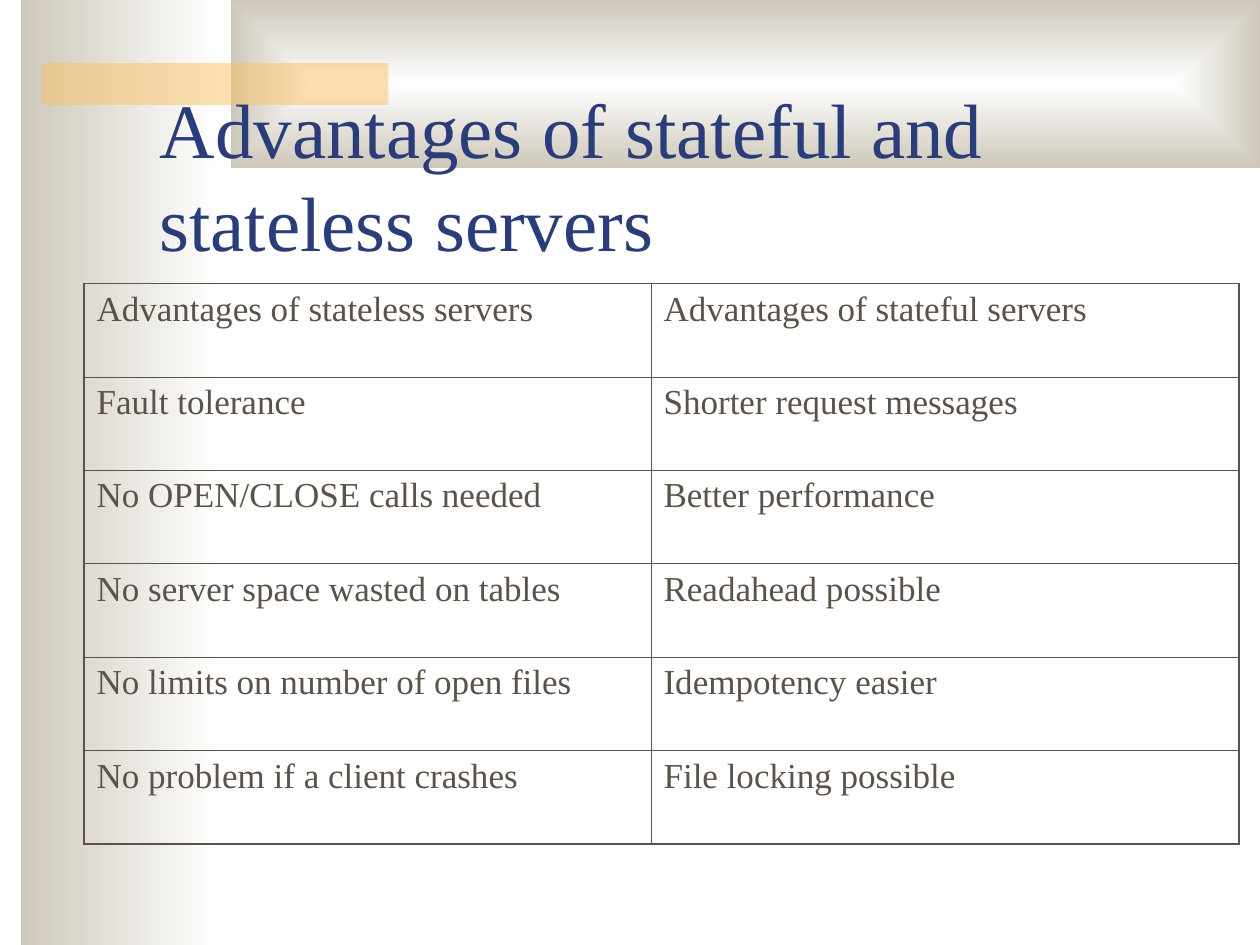
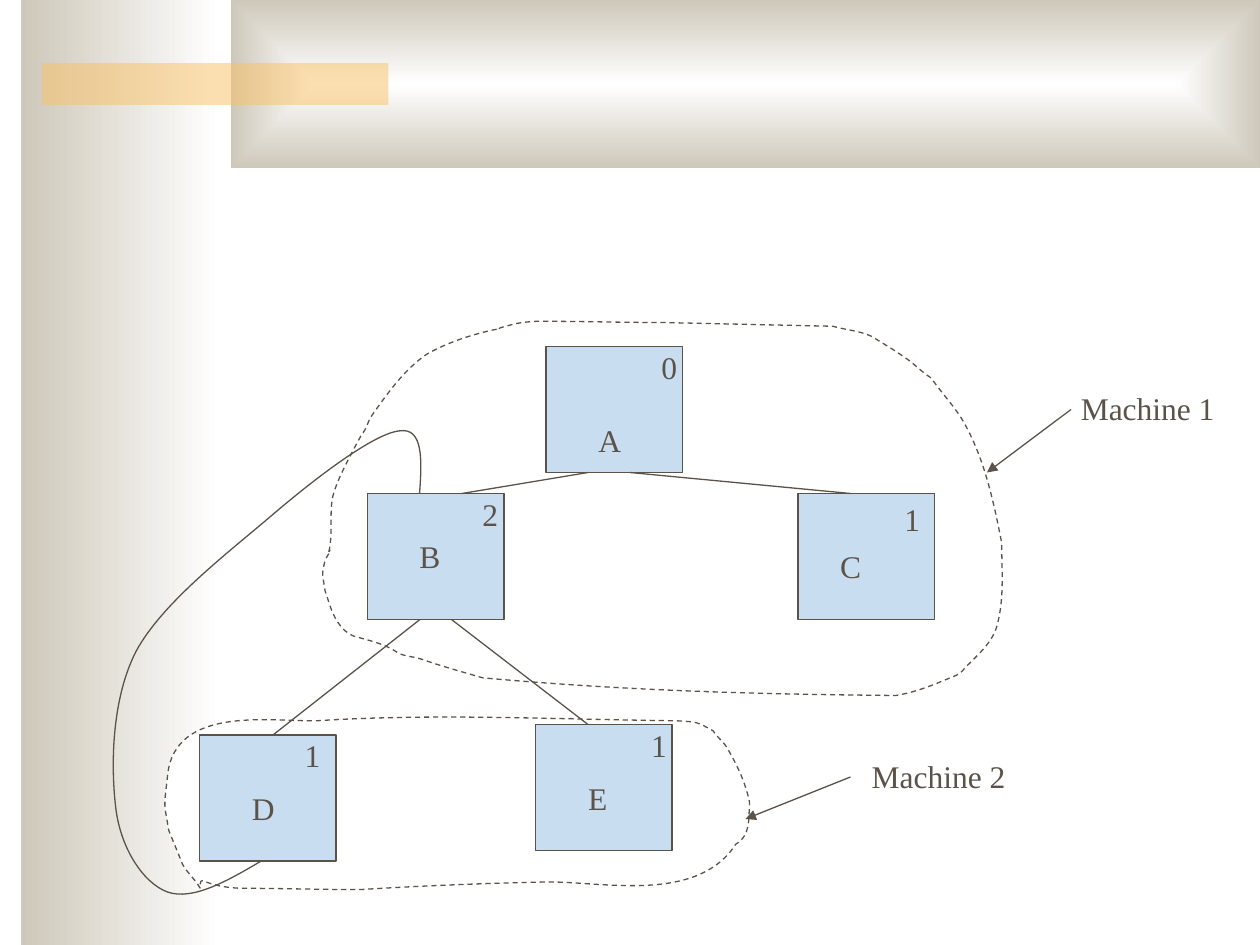
from lxml import etree
from pptx import Presentation
from pptx.dml.color import RGBColor
from pptx.enum import dml, shapes, text
from pptx.oxml import ns
from pptx.util import Inches, Pt

FONT = "Times New Roman"
BEIGE = RGBColor(0xCE, 0xC8, 0xBA)
WHITE = RGBColor(0xFF, 0xFF, 0xFF)
ORANGE = RGBColor(0xFA, 0xC1, 0x64)
NAVY = RGBColor(0x2A, 0x3D, 0x7A)
BROWN = RGBColor(0x5B, 0x52, 0x49)
BLUE = RGBColor(0xC9, 0xDD, 0xF1)

GRID = 12  # grid steps to the inch
NODE_SIZE = 13, 12  # in grid steps

ADVANTAGES = [
    ("Advantages of stateless servers", "Advantages of stateful servers"),
    ("Fault tolerance", "Shorter request messages"),
    ("No OPEN/CLOSE calls needed", "Better performance"),
    ("No server space wasted on tables", "Readahead possible"),
    ("No limits on number of open files", "Idempotency easier"),
    ("No problem if a client crashes", "File locking possible"),
]

# Each outline is a start point and its cubic curves (two controls, one end).
MACHINE_2 = (1.59, 7.05), [
    (1.55, 6.98, 1.49, 6.93, 1.45, 6.86), (1.41, 6.76, 1.38, 6.69, 1.34, 6.59),
    (1.3, 6.35, 1.3, 6.43, 1.33, 6.16), (1.38, 5.59, 2.16, 5.73, 2.52, 5.72),
    (3.46, 5.66, 4.41, 5.71, 5.36, 5.72), (5.55, 5.73, 5.53, 5.73, 5.66, 5.8),
    (5.69, 5.85, 5.75, 5.89, 5.78, 5.95), (5.86, 6.09, 5.92, 6.22, 5.95, 6.37),
    (5.94, 6.5, 5.96, 6.63, 5.84, 6.7), (5.53, 7.18, 4.76, 6.99, 4.33, 7),
    (3.84, 7.01, 3.35, 7.03, 2.86, 7.06), (2.55, 7.06, 2.23, 7.05, 1.92, 7.05),
    (1.59, 7.04, 1.59, 6.92, 1.59, 7.05),
]
MACHINE_1 = (2.61, 4.38), [
    (2.65, 4.21, 2.6, 4.03, 2.66, 3.88), (2.7, 3.76, 2.81, 3.56, 2.87, 3.45),
    (2.91, 3.41, 2.92, 3.34, 2.95, 3.3), (3.07, 3.13, 3.21, 2.93, 3.39, 2.81),
    (3.55, 2.72, 3.73, 2.66, 3.91, 2.62), (4.06, 2.59, 3.86, 2.63, 4.05, 2.58),
    (4.11, 2.56, 4.23, 2.55, 4.28, 2.55), (4.6, 2.55, 4.93, 2.56, 5.25, 2.56),
    (5.7, 2.57, 6.61, 2.59, 6.61, 2.59), (6.71, 2.62, 6.87, 2.63, 6.95, 2.69),
    (7.03, 2.74, 7.1, 2.78, 7.17, 2.83), (7.25, 2.88, 7.31, 2.95, 7.39, 3),
    (7.48, 3.13, 7.6, 3.25, 7.67, 3.39), (7.82, 3.67, 7.89, 4, 7.95, 4.31),
    (7.95, 4.52, 7.97, 4.73, 7.92, 4.94), (7.89, 5.08, 7.79, 5.17, 7.69, 5.27),
    (7.65, 5.3, 7.64, 5.34, 7.59, 5.36), (7.42, 5.43, 7.29, 5.49, 7.11, 5.52),
    (5.95, 5.51, 4.95, 5.48, 3.83, 5.38), (3.66, 5.33, 3.51, 5.29, 3.34, 5.23),
    (3.28, 5.21, 3.19, 5.21, 3.14, 5.17), (3.05, 5.11, 2.92, 5.08, 2.81, 5.05),
    (2.7, 5.01, 2.64, 4.88, 2.61, 4.78), (2.6, 4.75, 2.58, 4.69, 2.58, 4.69),
    (2.56, 4.55, 2.55, 4.57, 2.58, 4.45), (2.58, 4.44, 2.65, 4.33, 2.61, 4.38),
]
LOOP_D_TO_B = (2.08, 6.83), [
    (1.81, 6.99, 1.53, 7.15, 1.33, 7.08), (1.14, 7.01, 0.96, 6.74, 0.92, 6.42),
    (0.88, 6.1, 0.88, 5.56, 1.08, 5.17), (1.29, 4.78, 1.82, 4.38, 2.17, 4.08),
    (2.51, 3.79, 2.97, 3.44, 3.17, 3.42), (3.36, 3.39, 3.35, 3.65, 3.33, 3.92),
]

# Corner in grid steps; then letter and reference count, each with its place
NODES = [
    ((52, 33), ("A", 4.65, 3.29, 0.38), ("0", 5.15, 2.71, 0.32)),
    ((76, 47), ("C", 6.57, 4.29, 0.36), ("1", 7.08, 3.92, 0.32)),
    ((35, 47), ("B", 3.23, 4.21, 0.36), ("2", 3.73, 3.88, 0.32)),
    ((51, 69), ("E", 4.57, 6.13, 0.35), ("1", 5.07, 5.71, 0.32)),
    ((19, 70), ("D", 1.9, 6.21, 0.38), ("1", 2.32, 5.79, 0.32)),
]
# Ends in grid steps
LINKS = [
    ((56, 45), (44, 47)),
    ((60, 45), (81, 47)),
    ((40, 59), (26, 70)),
    ((43, 59), (56, 69)),
]
POINTERS = [((102, 39), (94, 45)), ((81, 74), (71, 78))]
MACHINE_LABELS = [("Machine 1", 8.48, 3.04, 1.26), ("Machine 2", 6.82, 5.96, 1.26)]


def on_grid(*steps):
    return [Inches(n / GRID) for n in steps]


def style_font(p, size, color):
    p.font.name = FONT
    p.font.size = Pt(size)
    p.font.color.rgb = color


def add_rect(s, *box):
    """Add a plain rectangle; the box is in grid steps."""
    sp = s.shapes.add_shape(shapes.MSO_SHAPE.RECTANGLE, *on_grid(*box))
    sp.shadow.inherit = False
    sp.line.fill.background()
    return sp


def shade(sp):
    sp.fill.gradient()
    sp.fill.gradient_angle = 180
    for stop, color in zip(sp.fill.gradient_stops, (WHITE, BEIGE)):
        stop.color.rgb = color


def add_master_bands(prs, s):
    """Draw the bands on a slide, then move them behind everything on the master."""
    side = add_rect(s, 2, 0, 19, 90)
    shade(side)

    top = add_rect(s, 22, 0, 98, 16)
    shade(top)
    lin = top._element.find(".//" + ns.qn("a:lin"))
    path = etree.Element(ns.qn("a:path"), path="rect")
    etree.SubElement(path, ns.qn("a:fillToRect"),
                     {edge: "50000" for edge in "ltrb"})
    lin.getparent().replace(lin, path)

    accent = add_rect(s, 4, 6, 33, 4)
    accent.fill.solid()
    accent.fill.fore_color.rgb = ORANGE
    color = accent._element.spPr.find(".//" + ns.qn("a:srgbClr"))
    etree.SubElement(color, ns.qn("a:alpha"), val="50000")

    tree = prs.slide_master.shapes._spTree
    for i, band in enumerate((side, top, accent)):
        tree.insert(2 + i, band._element)


def set_title(s, words, *box):
    title = s.shapes.title
    title.left, title.top, title.width, title.height = on_grid(*box)
    tf = title.text_frame
    tf.text = words
    tf.auto_size = text.MSO_AUTO_SIZE.NONE
    tf.vertical_anchor = text.MSO_ANCHOR.BOTTOM
    p = tf.paragraphs[0]
    p.alignment = text.PP_ALIGN.LEFT
    style_font(p, 44, NAVY)


def set_borders(cell, widths):
    """Set the left, right, top and bottom border widths, in points."""
    tcPr = cell._tc.get_or_add_tcPr()
    for i, (side, width) in enumerate(zip("LRTB", widths)):
        ln = etree.Element(ns.qn("a:ln" + side), w=str(Pt(width)))
        fill = etree.SubElement(ln, ns.qn("a:solidFill"))
        etree.SubElement(fill, ns.qn("a:srgbClr"), val=str(BROWN))
        tcPr.insert(i, ln)


def add_advantages_table(s, x, y, col_widths, height):
    """Add the table; the places and column widths are in grid steps."""
    n_rows, n_cols = len(ADVANTAGES), len(col_widths)
    table = s.shapes.add_table(
        n_rows, n_cols, *on_grid(x, y, sum(col_widths)), Inches(height)).table
    table.first_row = table.horz_banding = False
    for column, width in zip(table.columns, on_grid(*col_widths)):
        column.width = width
    for r, row in enumerate(ADVANTAGES):
        for c, words in enumerate(row):
            cell = table.cell(r, c)
            cell.text = words
            style_font(cell.text_frame.paragraphs[0], 20, BROWN)
            cell.fill.background()
            outer = (c == 0, c == n_cols - 1, r == 0, r == n_rows - 1)
            set_borders(cell, [1.08 if edge else 0.45 for edge in outer])


def style_line(line):
    line.color.rgb = BROWN
    line.width = Pt(0.75)


def add_label(s, words, x, y, w):
    tf = s.shapes.add_textbox(Inches(x), Inches(y), Inches(w), Inches(0.4)).text_frame
    tf.word_wrap = False
    tf.auto_size = text.MSO_AUTO_SIZE.SHAPE_TO_FIT_TEXT
    tf.text = words
    style_font(tf.paragraphs[0], 18, BROWN)


def add_link(s, start, end, arrow=False):
    link = s.shapes.add_connector(shapes.MSO_CONNECTOR.STRAIGHT, *on_grid(*start, *end))
    style_line(link.line)
    if arrow:
        etree.SubElement(link.line._get_or_add_ln(), ns.qn("a:tailEnd"), type="triangle")
    etree.SubElement(link._element.spPr, ns.qn("a:effectLst"))


def add_curve(s, start, curves, closed=False):
    """Build a freeform through all points, then join each three as a cubic curve."""
    points = [(Inches(c[i]), Inches(c[i + 1])) for c in curves for i in (0, 2, 4)]
    builder = s.shapes.build_freeform(Inches(start[0]), Inches(start[1]))
    builder.add_line_segments(points, close=closed)
    sp = builder.convert_to_shape()

    segments = list(sp._element.iter(ns.qn("a:lnTo")))
    for i in range(0, len(points), 3):
        curve = etree.Element(ns.qn("a:cubicBezTo"))
        segments[i].addprevious(curve)
        for segment in segments[i:i + 3]:
            curve.append(segment[0])
            segment.getparent().remove(segment)

    sp.shadow.inherit = False
    style_line(sp.line)
    if closed:
        sp.fill.solid()
        sp.fill.fore_color.rgb = WHITE
        sp.line.dash_style = dml.MSO_LINE.DASH
    else:
        sp.fill.background()


def add_node(s, corner, letter, count):
    box = add_rect(s, *corner, *NODE_SIZE)
    box.fill.solid()
    box.fill.fore_color.rgb = BLUE
    style_line(box.line)
    for label in (letter, count):
        add_label(s, *label)


def add_machine_diagram(s):
    for outline in (MACHINE_2, MACHINE_1):
        add_curve(s, *outline, closed=True)
    for node in NODES:
        add_node(s, *node)
    for link in LINKS:
        add_link(s, *link)
    add_curve(s, *LOOP_D_TO_B)
    for pointer in POINTERS:
        add_link(s, *pointer, arrow=True)
    for label in MACHINE_LABELS:
        add_label(s, *label)


def main():
    prs = Presentation()
    prs.slide_width, prs.slide_height = Inches(10), Inches(7.5)

    s = prs.slides.add_slide(prs.slide_layouts[5])
    add_master_bands(prs, s)
    set_title(s, "Advantages of stateful and stateless servers", 14, 11, 102, 15)
    add_advantages_table(s, 8, 27, (54, 56), 4.45)

    s = prs.slides.add_slide(prs.slide_layouts[6])
    add_machine_diagram(s)

    prs.save("out.pptx")


if __name__ == "__main__":
    main()
